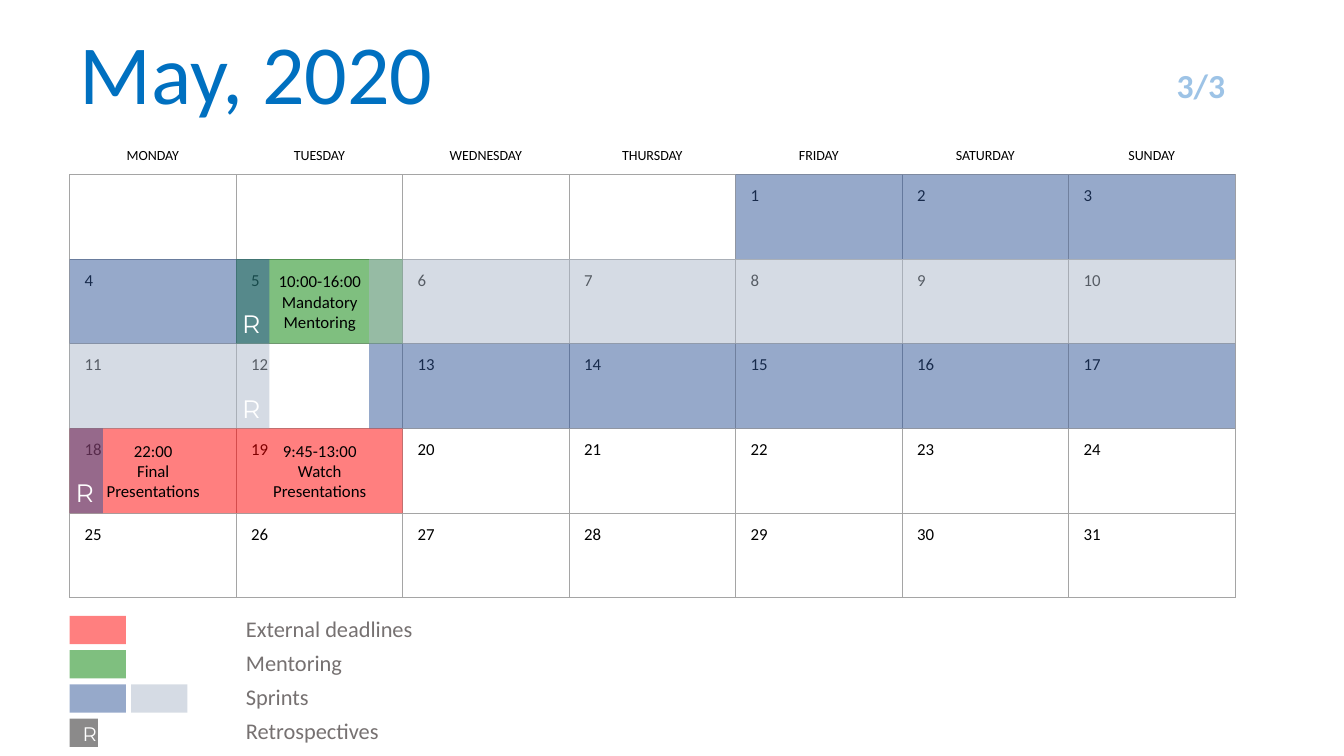
from lxml import etree
from pptx import Presentation
from pptx import util as u
from pptx.dml.color import RGBColor
from pptx.enum import shapes, text
from pptx.oxml import ns

BLUE = RGBColor(0x00, 0x70, 0xC0)
PALE_BLUE = RGBColor(0x9D, 0xC3, 0xE6)
RED = RGBColor(0xFF, 0x00, 0x00)
GREEN = RGBColor(0x00, 0x80, 0x00)
NAVY = RGBColor(0x2F, 0x55, 0x97)
STEEL = RGBColor(0xAD, 0xB9, 0xCA)
INK = RGBColor(0x18, 0x17, 0x17)
LABEL = RGBColor(0x76, 0x71, 0x71)
BLACK = RGBColor(0, 0, 0)
WHITE = RGBColor(0xFF, 0xFF, 0xFF)
RULE = "A5A5A5"

# Content
TITLE, PAGE = "May, 2020", "3/3"
WEEKDAYS = ["MONDAY", "TUESDAY", "WEDNESDAY", "THURSDAY", "FRIDAY", "SATURDAY", "SUNDAY"]
FIRST_COL, LAST_DAY, WEEKS = 4, 31, 5
# week, column, text, colour; \v breaks a line, \n a paragraph
EVENTS = [
    (1, 1, "10:00-16:00\vMandatory\nMentoring", GREEN),
    (3, 0, "22:00\vFinal\nPresentations", RED),
    (3, 1, "9:45-13:00\vWatch Presentations", RED),
]
# week, first column, width of each tile in columns, colour, number of tiles
SPRINTS = [
    (0, 4, 1, NAVY, 3),
    (1, 0, 1.2, NAVY, 1),
    (1, 1.8, 1.2, STEEL, 1),
    (1, 3, 1, STEEL, 4),
    (2, 0, 1.2, STEEL, 1),
    (2, 1.8, 1.2, NAVY, 1),
    (2, 3, 1, NAVY, 4),
    (3, 0, 0.2, NAVY, 1),
]
RETROS = [(1, 1), (2, 1), (3, 0)]  # week, column
# label, swatch colours, swatch width, letter on the swatch
LEGEND = [
    ("External deadlines", [RED], 0.56, ""),
    ("Mentoring", [GREEN], 0.56, ""),
    ("Sprints", [NAVY, STEEL], 0.56, ""),
    ("Retrospectives", [INK], 0.28, "R"),
]

# Grid, in inches
LEFT, TOP, HEAD_H = 0.69, 1.35, 0.38
GRID_W, DAY_H = 11.56, 0.84
COL_W = GRID_W / len(WEEKDAYS)
DAYS_TOP = TOP + HEAD_H
LEGEND_TOP, LEGEND_STEP, SWATCH_H, SWATCH_STEP = 6.11, 0.34, 0.28, 0.61


def day_xy(week, col):
    """Return the top left corner of a place in the day grid."""
    return LEFT + col * COL_W, DAYS_TOP + week * DAY_H


def write(tf, content, size, color, font="Calibri", bold=False,
          align=text.PP_ALIGN.LEFT, spacing=None):
    """Put formatted text into a text frame."""
    tf.text = content
    for p in tf.paragraphs:
        p.alignment = align
        if spacing:
            p.line_spacing = spacing
        for r in p.runs:
            r.font.size, r.font.name, r.font.bold = u.Pt(size), font, bold
            r.font.color.rgb = color


def add_text(s, x, y, w, h, content, size, color, wrap=True,
             anchor=text.MSO_ANCHOR.TOP, **fmt):
    """Add a text box."""
    tf = s.shapes.add_textbox(*map(u.Inches, (x, y, w, h))).text_frame
    tf.word_wrap, tf.vertical_anchor = wrap, anchor
    write(tf, content, size, color, **fmt)
    return tf


def add_tile(s, x, y, w, h, color):
    """Add a half-transparent rectangle without outline."""
    sp = s.shapes.add_shape(shapes.MSO_SHAPE.RECTANGLE, *map(u.Inches, (x, y, w, h)))
    sp.shadow.inherit = False
    sp.line.fill.background()
    sp.fill.solid()
    sp.fill.fore_color.rgb = color
    clr = sp.fill._xPr.find(".//" + ns.qn("a:srgbClr"))
    etree.SubElement(clr, ns.qn("a:alpha"), val="50000")


def set_borders(cell, ruled):
    """Rule the given sides of a cell and clear the others."""
    tc_pr = cell._tc.get_or_add_tcPr()
    for i, side in enumerate("LRTB"):
        ln = etree.Element(ns.qn("a:ln" + side), w=str(u.Pt(0.5)))
        if side in ruled:
            fill = etree.SubElement(ln, ns.qn("a:solidFill"))
            etree.SubElement(fill, ns.qn("a:srgbClr"), val=RULE)
        else:
            etree.SubElement(ln, ns.qn("a:noFill"))
        tc_pr.insert(i, ln)


def add_calendar(s):
    """Add the month table with weekday heads and day numbers."""
    tbl = s.shapes.add_table(
        WEEKS + 1, len(WEEKDAYS), *map(u.Inches, (LEFT, TOP, GRID_W, HEAD_H + WEEKS * DAY_H))
    ).table
    tbl.first_row = tbl.horz_banding = False
    for col in tbl.columns:
        col.width = u.Inches(COL_W)
    for i, row in enumerate(tbl.rows):
        row.height = u.Inches(DAY_H if i else HEAD_H)
        for j, cell in enumerate(row.cells):
            cell.fill.background()
            set_borders(cell, "LRTB" if i else "B")
            if i == 0:
                cell.vertical_anchor = text.MSO_ANCHOR.MIDDLE
                write(cell.text_frame, WEEKDAYS[j], 10, BLACK, align=text.PP_ALIGN.CENTER)
                continue
            day = (i - 1) * len(WEEKDAYS) + j - FIRST_COL + 1
            if 1 <= day <= LAST_DAY:
                write(cell.text_frame, str(day), 12, BLACK, spacing=1.3)
                p_pr = cell.text_frame.paragraphs[0]._p.get_or_add_pPr()
                p_pr.set("marL", str(u.Inches(0.05)))


def add_legend(s):
    """Add one row of swatches and a label for each kind of entry."""
    for i, (label, colors, w, letter) in enumerate(LEGEND):
        y = LEGEND_TOP + i * LEGEND_STEP
        for j, color in enumerate(colors):
            add_tile(s, LEFT + j * SWATCH_STEP, y, w, SWATCH_H, color)
        if letter:
            add_text(s, LEFT, y - 0.02, 0.4, 0.34, letter, 14, WHITE, wrap=False,
                     font="Montserrat", align=text.PP_ALIGN.CENTER)
        add_text(s, LEFT + COL_W, y - 0.06, 1.88, 0.37, label, 16, LABEL)


prs = Presentation()
prs.slide_width, prs.slide_height = u.Inches(13.33), u.Inches(7.5)
s = prs.slides.add_slide(prs.slide_layouts[5])

title = s.shapes.title
title.left, title.top, title.width, title.height = map(u.Inches, (LEFT, 0.02, 4.01, 1.25))
title.text_frame.auto_size = text.MSO_AUTO_SIZE.NONE
title.text_frame.vertical_anchor = text.MSO_ANCHOR.BOTTOM
write(title.text_frame, TITLE, 60, BLUE, spacing=0.9)
add_text(s, LEFT + GRID_W - 0.91, 0.64, 0.91, 0.45, PAGE, 24, PALE_BLUE, bold=True,
         anchor=text.MSO_ANCHOR.BOTTOM, align=text.PP_ALIGN.RIGHT, spacing=0.8)

add_calendar(s)
for week, col, content, color in EVENTS:
    x, y = day_xy(week, col)
    add_tile(s, x, y, COL_W, DAY_H, color)
    add_text(s, x + 0.06, y + 0.07, 1.54, 0.71, content, 12, BLACK,
             align=text.PP_ALIGN.CENTER)
for week, col, span, color, count in SPRINTS:
    for k in range(count):
        add_tile(s, *day_xy(week, col + k * span), span * COL_W, DAY_H, color)
for week, col in RETROS:
    x, y = day_xy(week, col)
    add_text(s, x - 0.05, y + 0.44, 0.4, 0.4, "R", 18, WHITE,
             font="Montserrat", align=text.PP_ALIGN.CENTER)
add_legend(s)

prs.save("out.pptx")
